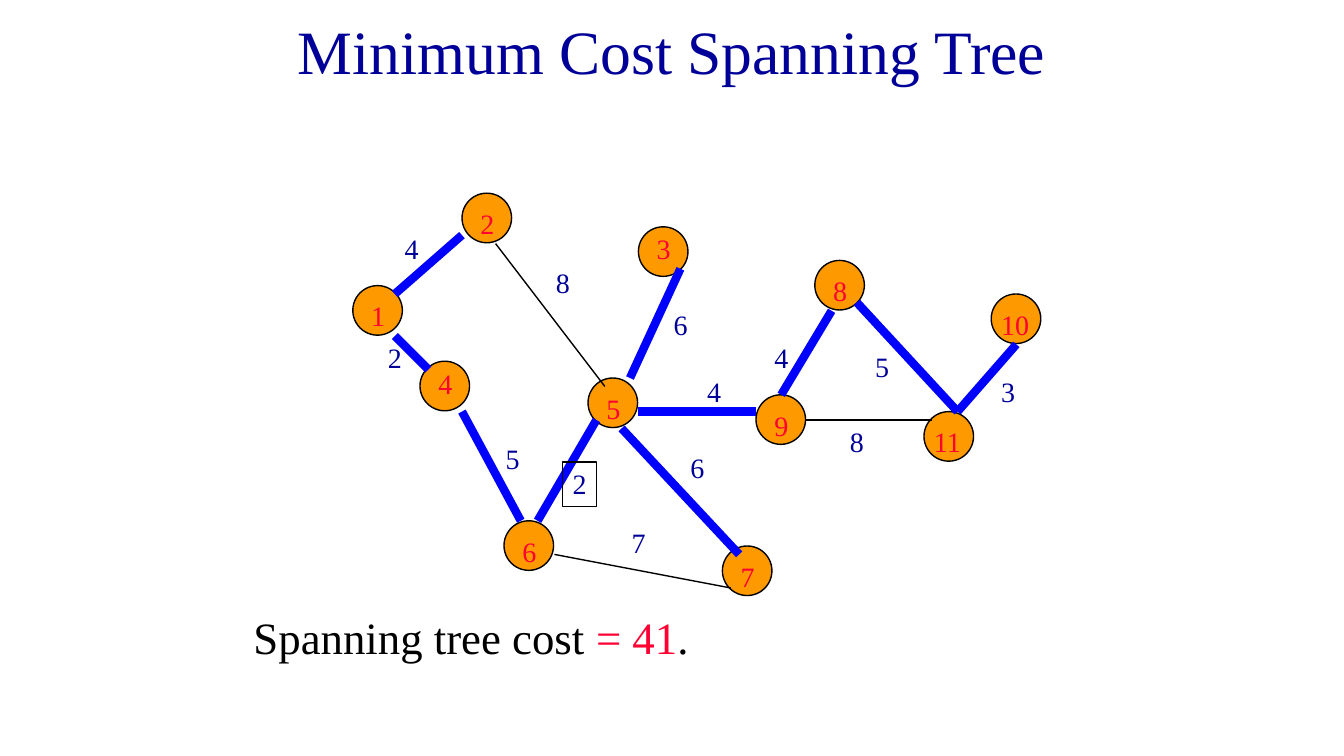
from dataclasses import dataclass

import pptx
import pptx.dml.color
import pptx.enum.shapes
import pptx.enum.text
import pptx.util
from lxml import etree
from pptx.oxml.ns import qn

CELL = pptx.util.Inches(1 / 12)
COLUMNS, ROWS = 160, 90


@dataclass(frozen=True)
class Theme:
    font: str = "Times New Roman"
    navy: str = "000099"
    red: str = "FF0033"
    black: str = "000000"
    orange: str = "FF9900"
    blue: str = "0000FF"
    title_size: int = 44
    body_size: int = 32
    label_size: int = 20
    tree_width: float = 6
    thin_width: float = 1
    frame_width: float = 0.75
    node_diameter: float = 5.9
    label_height: float = 5.25


THEME = Theme()


@dataclass(frozen=True)
class Node:
    name: str
    column: int
    row: int
    label_shift: tuple[int, int] = (1, 1)
    label_width: int = 3


@dataclass(frozen=True)
class Edge:
    start: tuple[int, int]
    end: tuple[int, int]
    weight: str
    weight_at: tuple[int, int]
    in_tree: bool = True
    framed: bool = False


NODES = [
    Node("1", 42, 34),
    Node("2", 55, 23),
    Node("3", 76, 27, (1, 0)),
    Node("8", 97, 31),
    Node("10", 118, 35, (0, 1), 6),
    Node("4", 50, 43, (1, 0)),
    Node("5", 70, 45),
    Node("9", 90, 47),
    Node("11", 110, 49, (0, 1), 10),
    Node("6", 60, 62),
    Node("7", 86, 65),
]

EDGES = [
    Edge((55, 28), (47, 35), "4", (47, 27)),
    Edge((59, 29), (72, 46), "8", (65, 31), in_tree=False),
    Edge((47, 40), (51, 44), "2", (45, 40)),
    Edge((55, 49), (62, 62), "5", (59, 52)),
    Edge((66, 66), (87, 70), "7", (74, 62), in_tree=False),
    Edge((81, 32), (75, 45), "6", (79, 36)),
    Edge((74, 51), (88, 66), "6", (81, 53)),
    Edge((99, 37), (93, 47), "4", (91, 40)),
    Edge((102, 36), (114, 49), "5", (103, 41)),
    Edge((114, 49), (121, 41), "3", (118, 44)),
    Edge((76, 49), (90, 49), "4", (83, 44)),
    Edge((96, 50), (111, 50), "8", (100, 50), in_tree=False),
    Edge((71, 50), (64, 62), "2", (67, 55), framed=True),
]


def cells(*counts: float) -> list[int]:
    return [round(count * CELL) for count in counts]


def rgb(color: str) -> pptx.dml.color.RGBColor:
    return pptx.dml.color.RGBColor.from_string(color)


def apply(target, values: dict) -> None:
    for name, value in values.items():
        setattr(target, name, value)


def add_run(paragraph, text: str, size: float, color: str) -> None:
    run = paragraph.add_run()
    run.text = text
    apply(run.font, {"name": THEME.font, "size": pptx.util.Pt(size)})
    run.font.color.rgb = rgb(color)


def set_line(line, color: str, width: float) -> None:
    line.color.rgb = rgb(color)
    line.width = pptx.util.Pt(width)


def add_title(slide, text: str) -> None:
    title = slide.shapes.title
    left, top, width, height = cells(29, 1.5, 102, 15)
    apply(title, {"left": left, "top": top, "width": width, "height": height})
    apply(title.text_frame, {
        "margin_top": 0,
        "word_wrap": True,
        "auto_size": pptx.enum.text.MSO_AUTO_SIZE.NONE,
        "vertical_anchor": pptx.enum.text.MSO_ANCHOR.TOP,
    })
    paragraph = title.text_frame.paragraphs[0]
    paragraph.alignment = pptx.enum.text.PP_ALIGN.CENTER
    add_run(paragraph, text, THEME.title_size, THEME.navy)


def add_cost(slide) -> None:
    box = slide.shapes.add_textbox(*cells(29, 72, 102, 15))
    box.text_frame.word_wrap = True
    for text, color in (("Spanning tree cost ", THEME.black),
                        ("= 41", THEME.red), (".", THEME.black)):
        add_run(box.text_frame.paragraphs[0], text, THEME.body_size, color)


def add_label(slide, text: str, column: int, row: int, width: int,
              color: str, framed: bool = False) -> None:
    box = slide.shapes.add_textbox(*cells(column, row, width, THEME.label_height))
    apply(box.text_frame, {
        "word_wrap": True,
        "auto_size": pptx.enum.text.MSO_AUTO_SIZE.SHAPE_TO_FIT_TEXT,
    })
    add_run(box.text_frame.paragraphs[0], text, THEME.label_size, color)
    if framed:
        set_line(box.line, THEME.black, THEME.frame_width)


def add_node(slide, node: Node) -> None:
    circle = slide.shapes.add_shape(
        pptx.enum.shapes.MSO_SHAPE.OVAL,
        *cells(node.column, node.row, THEME.node_diameter, THEME.node_diameter))
    circle.shadow.inherit = False
    circle.fill.solid()
    circle.fill.fore_color.rgb = rgb(THEME.orange)
    set_line(circle.line, THEME.black, 1)


def add_edge(slide, edge: Edge) -> None:
    connector = slide.shapes.add_connector(
        pptx.enum.shapes.MSO_CONNECTOR.STRAIGHT, *cells(*edge.start, *edge.end))
    if edge.in_tree:
        set_line(connector.line, THEME.blue, THEME.tree_width)
    else:
        set_line(connector.line, THEME.black, THEME.thin_width)
    etree.SubElement(connector._element.spPr, qn("a:effectLst"))


def main() -> None:
    presentation = pptx.Presentation()
    presentation.slide_width, presentation.slide_height = cells(COLUMNS, ROWS)
    slide = presentation.slides.add_slide(presentation.slide_layouts[5])

    # Title and total cost
    add_title(slide, "Minimum Cost Spanning Tree")
    add_cost(slide)

    # Graph: circles, then edges, then node numbers and edge weights
    for node in NODES:
        add_node(slide, node)
    for edge in EDGES:
        add_edge(slide, edge)
    for node in NODES:
        shift_x, shift_y = node.label_shift
        add_label(slide, node.name, node.column + shift_x, node.row + shift_y,
                  node.label_width, THEME.red)
    for edge in EDGES:
        add_label(slide, edge.weight, *edge.weight_at, 4, THEME.navy, edge.framed)

    presentation.save("out.pptx")


if __name__ == "__main__":
    main()
